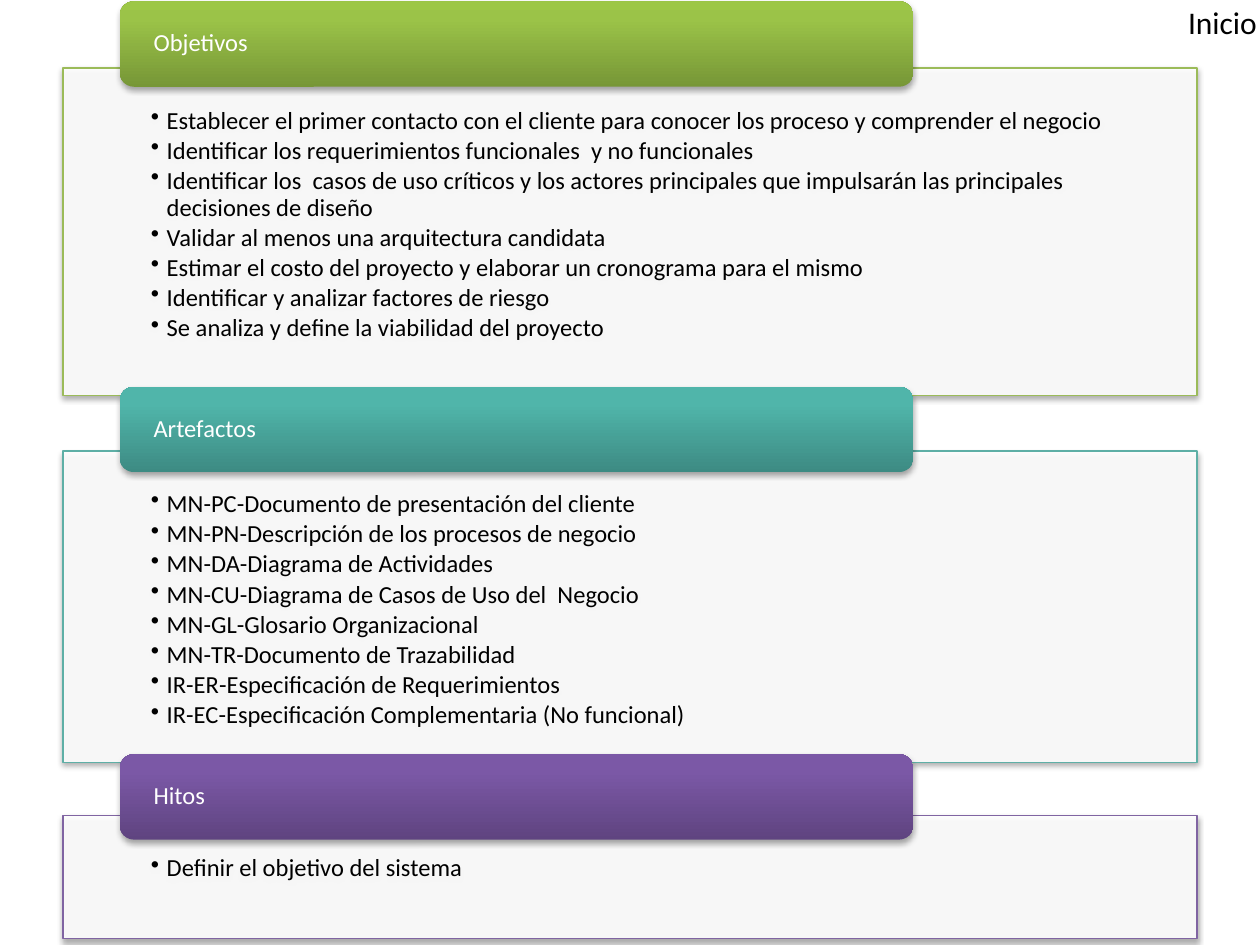
from pptx import Presentation
from pptx.dml.color import RGBColor
from pptx.enum.shapes import MSO_SHAPE as SHAPE
from pptx.enum.text import MSO_ANCHOR as ANCHOR, PP_ALIGN as ALIGN
from pptx.oxml import parse_xml
from pptx.oxml.ns import nsdecls, qn
from pptx.util import Pt

SECTIONS = [
    ("Objetivos", 0.8, 38.8, 187.2, "9BBB59", ["779737", "9BC348", "9DC746"], [
        "Establecer el primer contacto con el cliente para conocer los proceso y comprender el negocio",
        "Identificar los requerimientos funcionales  y no funcionales",
        "Identificar los  casos de uso críticos y los actores principales que impulsarán las principales decisiones de diseño",
        "Validar al menos una arquitectura candidata",
        "Estimar el costo del proyecto y elaborar un cronograma para el mismo",
        "Identificar y analizar factores de riesgo",
        "Se analiza y define la viabilidad del proyecto",
    ]),
    ("Artefactos", 221, 257.8, 177.8, "5EAFA6", ["3D8B83", "50B5AA", "4EB8AC"], [
        "MN-PC-Documento de presentación del cliente",
        "MN-PN-Descripción de los procesos de negocio",
        "MN-DA-Diagrama de Actividades",
        "MN-CU-Diagrama de Casos de Uso del  Negocio",
        "MN-GL-Glosario Organizacional",
        "MN-TR-Documento de Trazabilidad",
        "IR-ER-Especificación de Requerimientos",
        "IR-EC-Especificación Complementaria (No funcional)",
    ]),
    ("Hitos", 431, 465.9, 70.6, "8064A2", ["5F4480", "7B58A6", "7C57A8"], [
        "Definir el objetivo del sistema",
    ]),
]


def rgb(value):
    return RGBColor.from_string(value)


def add_block(kind, box, insets, anchor, lines, text_color, gap):
    block = slide.shapes.add_shape(kind, *[Pt(n) for n in box])
    block.shadow.inherit = False
    block._element.spPr.find(qn("a:effectLst")).append(parse_xml(
        f'<a:outerShdw {nsdecls("a")} blurRad="40000" dist="23000" dir="5400000" rotWithShape="0">'
        '<a:srgbClr val="000000"><a:alpha val="35000"/></a:srgbClr></a:outerShdw>'))
    frame = block.text_frame
    frame.word_wrap = True
    frame.vertical_anchor = anchor
    frame.margin_left, frame.margin_top, frame.margin_right, frame.margin_bottom = [Pt(n) for n in insets]
    frame.text = "\n".join(lines)
    for line in frame.paragraphs:
        line.alignment = ALIGN.LEFT
        line.line_spacing = 0.9
        line.space_after = Pt(gap)
        line.font.name = "Calibri"
        line.font.size = Pt(14)
        line.font.color.rgb = rgb(text_color)
    return block


prs = Presentation()
prs.slide_width, prs.slide_height = Pt(720), Pt(540)
slide = prs.slides.add_slide(prs.slide_layouts[6])

for title, title_top, panel_top, panel_height, accent, shades, items in SECTIONS:
    panel = add_block(SHAPE.RECTANGLE, (36, panel_top, 648, panel_height),
                      (50.3, 23, 50.3, 8), ANCHOR.TOP, items, "000000", 2.1)
    panel.fill.solid()
    panel.fill.fore_color.rgb = rgb("FFFFFF")
    fill_color = panel._element.spPr.find(qn("a:solidFill"))[0]
    fill_color.append(parse_xml(f'<a:alpha {nsdecls("a")} val="90000"/>'))
    panel.line.color.rgb = rgb(accent)
    panel.line.width = Pt(0.75)
    for item in panel.text_frame.paragraphs:
        props = item._p.get_or_add_pPr()
        props.set("marL", str(Pt(9)))
        props.set("indent", str(Pt(-9)))
        bullet = parse_xml(f'<a:buChar {nsdecls("a")} char="•"/>')
        props.find(qn("a:defRPr")).addprevious(bullet)

    header = add_block(SHAPE.ROUNDED_RECTANGLE, (68.4, title_top, 453.6, 48.8),
                       (17, 0, 17, 0), ANCHOR.MIDDLE, [title], "FFFFFF", 0)
    header.line.fill.background()
    stops = "".join(f'<a:gs pos="{pos}"><a:srgbClr val="{shade}"/></a:gs>'
                    for pos, shade in zip((0, 80000, 100000), shades))
    header._element.spPr.insert(2, parse_xml(
        f'<a:gradFill {nsdecls("a")} rotWithShape="1"><a:gsLst>{stops}</a:gsLst>'
        '<a:lin ang="16200000" scaled="0"/></a:gradFill>'))

phase = slide.shapes.add_textbox(Pt(671.8), Pt(-2), Pt(113), Pt(29)).text_frame
phase.word_wrap = True
phase.text = "Inicio"
phase_font = phase.paragraphs[0].font
phase_font.name = "Calibri"
phase_font.size = Pt(18)
phase_font.color.rgb = rgb("000000")

prs.save("out.pptx")
